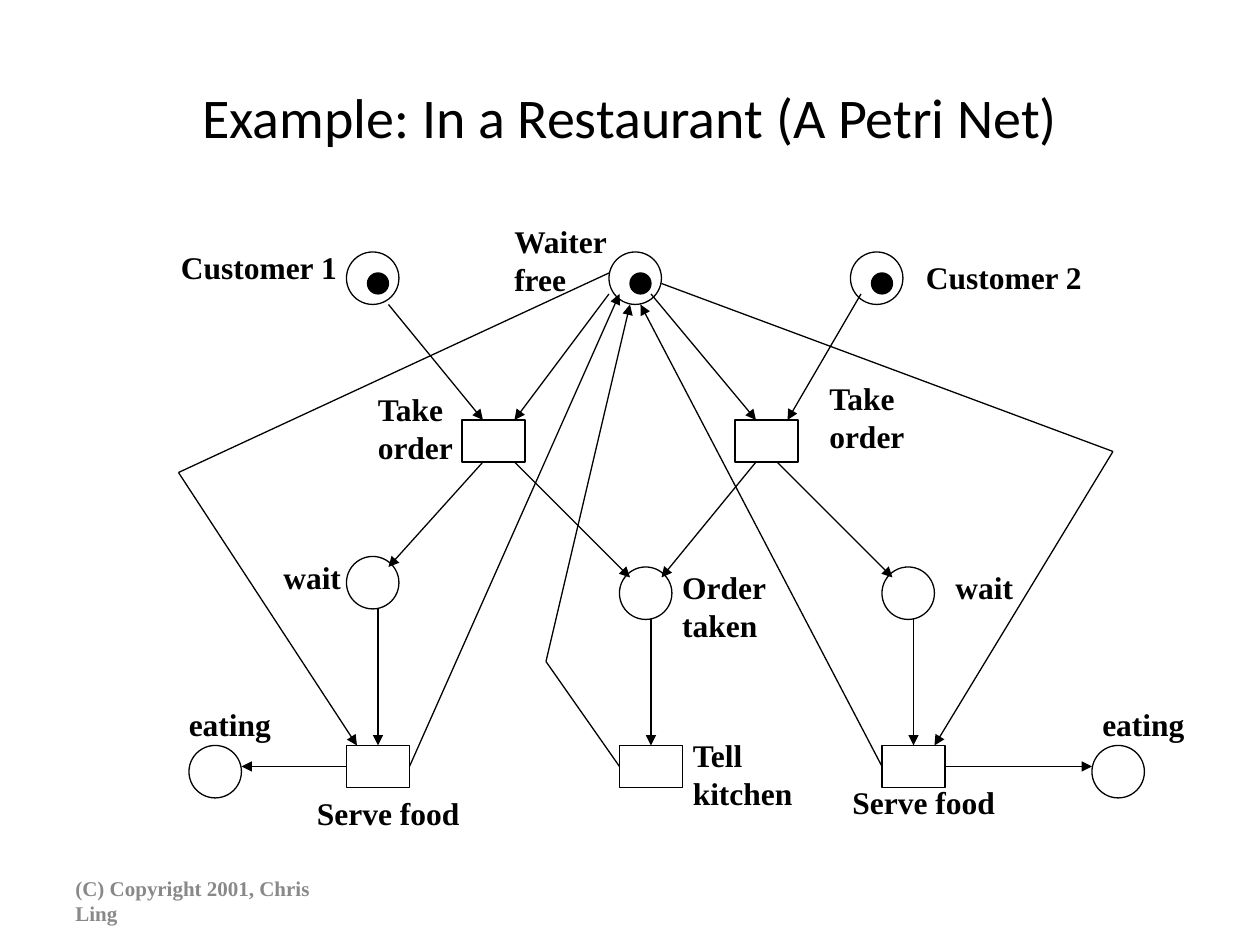
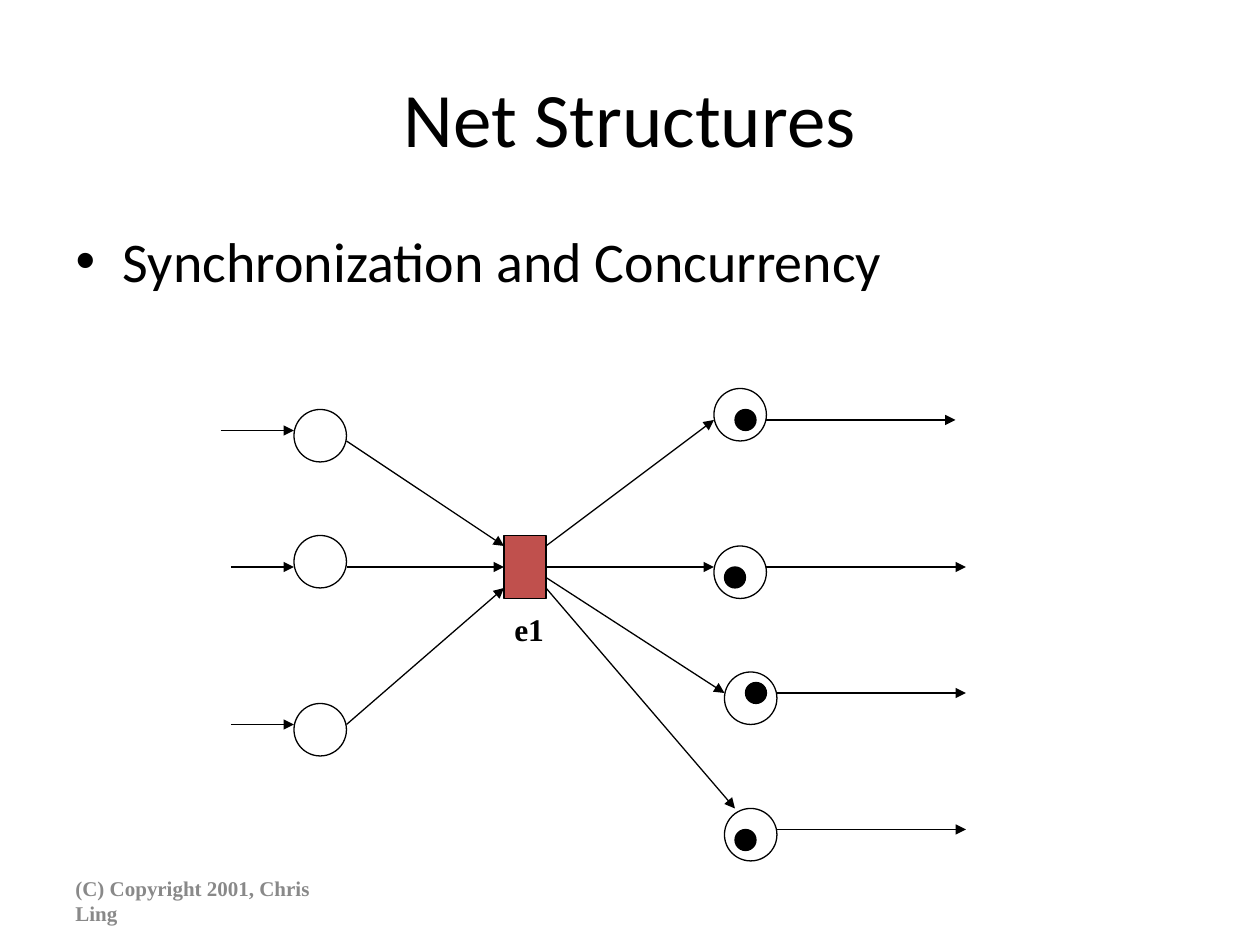
from itertools import pairwise

from lxml.etree import SubElement
from pptx import Presentation
from pptx.dml.color import RGBColor
from pptx.enum.shapes import MSO_CONNECTOR as Connector, MSO_SHAPE as Shape
from pptx.enum.text import MSO_ANCHOR as Anchor, MSO_AUTO_SIZE as AutoSize, PP_ALIGN as Align
from pptx.oxml.ns import qn
from pptx.util import Inches, Pt

BLACK = "000000"
GREY = "898989"
RED = "C0504D"
HEADING_FONT = "Calibri"
LABEL_FONT = "Times New Roman"
COLUMNS, ROWS = 120, 90
PLACE, TOKEN = 5, 2
LINE_WIDTH = Pt(0.75)
FOOTER = "(C) Copyright 2001, Chris Ling"


def grid(*cells):
    return [Inches(cell * 10 / COLUMNS) for cell in cells]


def style(font, name, size, color, bold=False):
    font.name, font.size, font.bold = name, Pt(size), bold
    font.color.rgb = RGBColor.from_string(color)


restaurant = {
    "title": "Example: In a Restaurant (A Petri Net)",
    "title_size": 32,
    "bullet": None,
    "places": [(33, 24), (58, 24), (81, 24), (33, 53), (59, 54), (84, 54), (18, 71), (104, 71)],
    "tokens": [(35, 26), (60, 26), (83, 26)],
    "transitions": [(44, 40), (70, 40), (33, 71), (59, 71), (84, 71)],
    "transition_size": (6, 4),
    "transition_fill": None,
    "arcs": [
        [(37, 29), (46, 40)],
        [(58, 28), (49, 40)],
        [(62, 28), (72, 40)],
        [(82, 28), (75, 40)],
        [(46, 44), (37, 54)],
        [(49, 44), (60, 55)],
        [(72, 44), (63, 55)],
        [(74, 44), (85, 55)],
        [(36, 58), (36, 71)],
        [(62, 59), (62, 71)],
        [(87, 59), (87, 71)],
        [(33, 73), (23, 73)],
        [(90, 73), (104, 73)],
        [(39, 73), (59, 28)],
        [(84, 73), (61, 29)],
        [(59, 73), (52, 63), (60, 29)],
        [(58, 26), (17, 45), (34, 71)],
        [(63, 27), (106, 43), (89, 71)],
    ],
    "labels": [
        (["Waiter", "free"], 47.8, 20.55, 12),
        (["Customer 1"], 16.05, 23, 18),
        (["Customer 2"], 87, 24, 18),
        (["Take", "order"], 34.8, 36.55, 10.5),
        (["Take", "order"], 77.8, 35.5, 10.5),
        (["Order", "taken"], 63.8, 53.5, 11.5),
        (["Tell", "kitchen"], 64.8, 69.5, 12.5),
        (["wait"], 25.8, 52.55, 8.5),
        (["wait"], 89.8, 53.5, 8.5),
        (["Serve food"], 29, 75, 16.5),
        (["Serve food"], 80, 74, 16.5),
        (["eating"], 16.8, 66.55, 11),
        (["eating"], 103.8, 66.55, 11),
    ],
}

structures = {
    "title": "Net Structures",
    "title_size": 44,
    "bullet": "Synchronization and Concurrency",
    "places": [(28, 39), (28, 51), (28, 67), (68, 37), (68, 52), (69, 64), (69, 77)],
    "tokens": [(70, 39), (69, 54), (71, 65), (70, 79)],
    "transitions": [(48, 51)],
    "transition_size": (4, 6),
    "transition_fill": RED,
    "arcs": [
        [(21, 41), (28, 41)],
        [(22, 54), (28, 54)],
        [(22, 69), (28, 69)],
        [(33, 42), (48, 52)],
        [(33, 54), (48, 54)],
        [(33, 69), (48, 56)],
        [(52, 52), (68, 40)],
        [(52, 54), (68, 54)],
        [(52, 55), (69, 66)],
        [(52, 56), (70, 77)],
        [(73, 40), (91, 40)],
        [(73, 54), (92, 54)],
        [(74, 66), (92, 66)],
        [(74, 79), (92, 79)],
    ],
    "labels": [(["e1"], 47.8, 57.5, 6)],
}

deck = Presentation()
deck.slide_width, deck.slide_height = grid(COLUMNS, ROWS)
title_only, title_and_body = deck.slide_layouts[5], deck.slide_layouts[1]

for net in (restaurant, structures):
    page = deck.slides.add_slide(title_and_body if net["bullet"] else title_only)

    title = page.shapes.title
    title.left, title.top, title.width, title.height = grid(6, 3.6, 108, 15)
    title.text_frame.text = net["title"]
    title.text_frame.auto_size = AutoSize.NONE
    title.text_frame.vertical_anchor = Anchor.MIDDLE
    para = title.text_frame.paragraphs[0]
    para.alignment = Align.CENTER
    style(para.font, HEADING_FONT, net["title_size"], BLACK)

    if net["bullet"]:
        body = page.placeholders[1]
        body.left, body.top, body.width, body.height = grid(6, 21, 108, 59.4)
        body.text_frame.text = net["bullet"]
        body.text_frame.auto_size = AutoSize.NONE
        para = body.text_frame.paragraphs[0]
        para.space_before = Pt(0)
        style(para.font, HEADING_FONT, 32, BLACK)

    footer = page.shapes.add_textbox(*grid(6, 83.4, 28, 4.8)).text_frame
    footer.word_wrap = True
    footer.vertical_anchor = Anchor.MIDDLE
    footer.text = FOOTER
    style(footer.paragraphs[0].font, LABEL_FONT, 12, GREY, bold=True)

    for kind, spots, size, fill in (
        (Shape.OVAL, net["places"], (PLACE, PLACE), None),
        (Shape.RECTANGLE, net["transitions"], net["transition_size"], net["transition_fill"]),
        (Shape.OVAL, net["tokens"], (TOKEN, TOKEN), BLACK),
    ):
        for spot in spots:
            node = page.shapes.add_shape(kind, *grid(*spot, *size))
            node.shadow.inherit = False
            node.line.color.rgb = RGBColor.from_string(BLACK)
            node.line.width = LINE_WIDTH
            if fill:
                node.fill.solid()
                node.fill.fore_color.rgb = RGBColor.from_string(fill)
            else:
                node.fill.background()

    for arc in net["arcs"]:
        for start, end in pairwise(arc):
            link = page.shapes.add_connector(Connector.STRAIGHT, *grid(*start, *end))
            link.line.color.rgb = RGBColor.from_string(BLACK)
            link.line.width = LINE_WIDTH
            properties = link.element.spPr
            if end == arc[-1]:
                SubElement(properties.find(qn("a:ln")), qn("a:tailEnd"), type="triangle")
            SubElement(properties, qn("a:effectLst"))

    for lines, left, top, width in net["labels"]:
        box = page.shapes.add_textbox(*grid(left, top, width, 1.2 + 3.6 * len(lines)))
        box.text_frame.word_wrap = False
        box.text_frame.auto_size = AutoSize.NONE
        box.text_frame.text = "\n".join(lines)
        for para in box.text_frame.paragraphs:
            para.alignment = Align.LEFT
            style(para.font, LABEL_FONT, 18, BLACK, bold=True)

deck.save("out.pptx")
